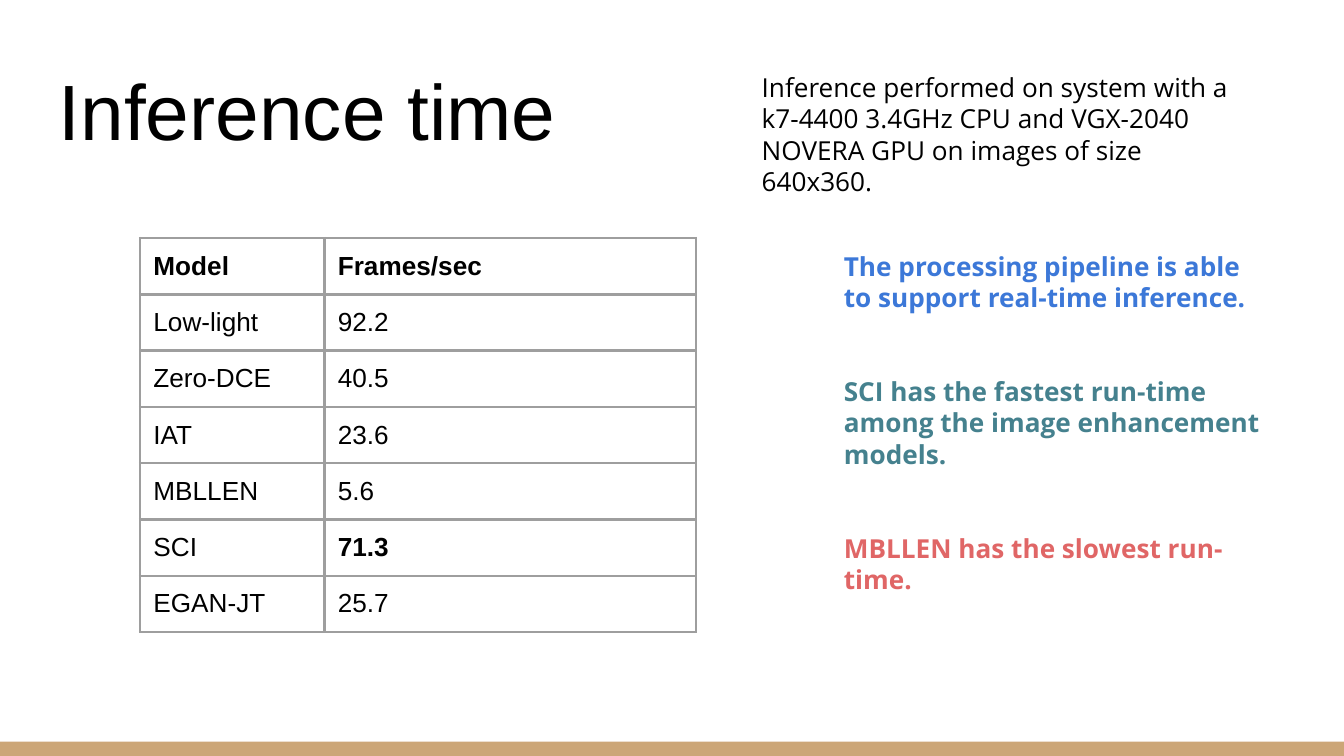
from dataclasses import dataclass

import lxml.etree
import pptx
import pptx.dml.color
import pptx.enum.shapes
import pptx.enum.text
import pptx.oxml.ns
import pptx.util

Pt = pptx.util.Pt
RGBColor = pptx.dml.color.RGBColor
Anchor = pptx.enum.text.MSO_ANCHOR

BLACK = RGBColor(0x00, 0x00, 0x00)
TAN = RGBColor(0xCC, 0xA6, 0x77)
BLUE = RGBColor(0x3C, 0x78, 0xD8)
TEAL = RGBColor(0x45, 0x81, 0x8E)
RED = RGBColor(0xE0, 0x66, 0x66)
BORDER_GRAY = RGBColor(0x9E, 0x9E, 0x9E)

INSET = Pt(7.2)
BODY_SIZE = 14
FINDING_GAP = Pt(33.5)
ROW_HEIGHT = 30.1
COLUMN_WIDTHS = (98.8, 199)


@dataclass(frozen=True)
class Line:
    text: str
    color: RGBColor = BLACK
    bold: bool = False


@dataclass(frozen=True)
class TextBlock:
    left: float
    top: float
    width: float
    height: float
    lines: tuple[Line, ...]
    font_name: str = "Open Sans"
    size: float = BODY_SIZE
    anchor: Anchor = Anchor.TOP


@dataclass(frozen=True)
class ModelSpeed:
    model: str
    frames_per_second: str
    bold_model: bool = False
    bold_speed: bool = False


TEXT_BLOCKS = (
    TextBlock(24.5, 25.2, 671, 65.5, (Line("Inference time"),), "Arial", 42, Anchor.BOTTOM),
    TextBlock(445, 126.7, 240.5, 201, (
        Line("The processing pipeline is able to support real-time inference.", BLUE, True),
        Line("SCI has the fastest run-time among the image enhancement models.", TEAL, True),
        Line("MBLLEN has the slowest run-time.", RED, True),
    )),
    TextBlock(401, 31, 273.6, 65.5, (
        Line("Inference performed on system with a k7-4400 3.4GHz CPU and "
             "VGX-2040 NOVERA GPU on images of size 640x360."),
    )),
)

MODEL_SPEEDS = (
    ModelSpeed("Model", "Frames/sec", True, True),
    ModelSpeed("Low-light", "92.2"),
    ModelSpeed("Zero-DCE", "40.5"),
    ModelSpeed("IAT", "23.6"),
    ModelSpeed("MBLLEN", "5.6"),
    ModelSpeed("SCI", "71.3", bold_speed=True),
    ModelSpeed("EGAN-JT", "25.7"),
)


def write_line(paragraph, line: Line, font_name: str, size: float) -> None:
    paragraph.text = line.text
    font = paragraph.runs[0].font
    font.name = font_name
    font.size = Pt(size)
    font.bold = line.bold
    font.color.rgb = line.color


def draw_text_block(slide, block: TextBlock) -> None:
    shape = slide.shapes.add_textbox(
        Pt(block.left), Pt(block.top), Pt(block.width), Pt(block.height))
    frame = shape.text_frame
    frame.word_wrap = True
    frame.vertical_anchor = block.anchor
    frame.margin_left = frame.margin_right = INSET
    frame.margin_top = frame.margin_bottom = INSET
    for index, line in enumerate(block.lines):
        paragraph = frame.add_paragraph() if index else frame.paragraphs[0]
        write_line(paragraph, line, block.font_name, block.size)
        if index:
            paragraph.space_before = FINDING_GAP


def set_borders(cell) -> None:
    qn = pptx.oxml.ns.qn
    properties = cell._tc.get_or_add_tcPr()
    for position, side in enumerate(("a:lnL", "a:lnR", "a:lnT", "a:lnB")):
        border = lxml.etree.Element(qn(side), w=str(Pt(1.5)))
        fill = lxml.etree.SubElement(border, qn("a:solidFill"))
        lxml.etree.SubElement(fill, qn("a:srgbClr"), val=str(BORDER_GRAY))
        properties.insert(position, border)


def draw_cell(cell, line: Line) -> None:
    cell.fill.background()
    cell.margin_left = cell.margin_right = INSET
    cell.margin_top = cell.margin_bottom = INSET
    write_line(cell.text_frame.paragraphs[0], line, "Arial", BODY_SIZE)
    set_borders(cell)


def draw_speed_table(slide, left: float, top: float) -> None:
    table = slide.shapes.add_table(
        len(MODEL_SPEEDS), len(COLUMN_WIDTHS), Pt(left), Pt(top),
        Pt(sum(COLUMN_WIDTHS)), Pt(ROW_HEIGHT * len(MODEL_SPEEDS))).table
    table.first_row = False
    table.horz_banding = False
    for column, width in zip(table.columns, COLUMN_WIDTHS):
        column.width = Pt(width)
    for row, speed in zip(table.rows, MODEL_SPEEDS):
        row.height = Pt(ROW_HEIGHT)
        draw_cell(row.cells[0], Line(speed.model, bold=speed.bold_model))
        draw_cell(row.cells[1], Line(speed.frames_per_second, bold=speed.bold_speed))


def draw_footer_bar(slide) -> None:
    bar = slide.shapes.add_shape(
        pptx.enum.shapes.MSO_SHAPE.RECTANGLE, Pt(0), Pt(397.3), Pt(720), Pt(7.7))
    bar.shadow.inherit = False
    bar.fill.solid()
    bar.fill.fore_color.rgb = TAN
    bar.line.fill.background()


def main() -> None:
    presentation = pptx.Presentation()
    presentation.slide_width = Pt(720)
    presentation.slide_height = Pt(405)
    slide = presentation.slides.add_slide(presentation.slide_layouts[6])
    draw_footer_bar(slide)
    draw_speed_table(slide, 75, 127.5)
    for block in TEXT_BLOCKS:
        draw_text_block(slide, block)
    presentation.save("out.pptx")


if __name__ == "__main__":
    main()
